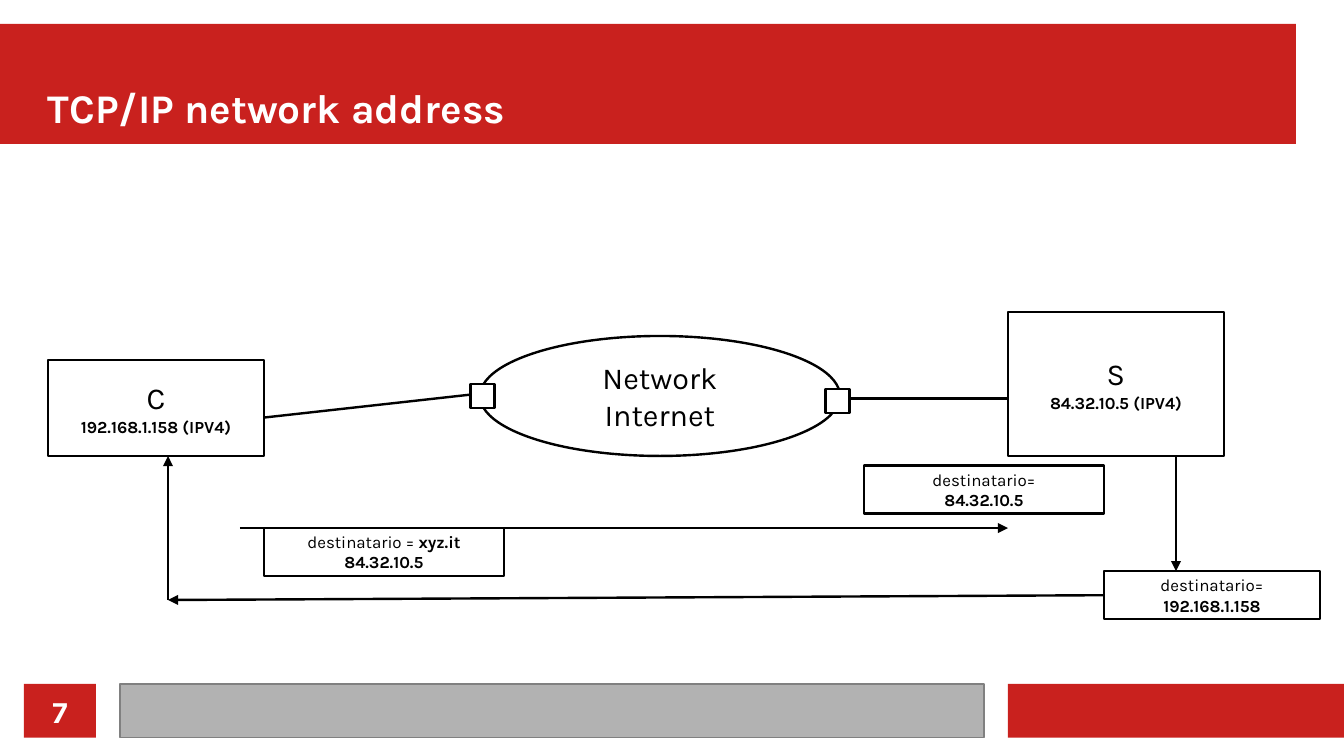
from lxml import etree
from pptx import Presentation
from pptx import util as u
from pptx.dml.color import RGBColor
from pptx.enum import shapes, text
from pptx.oxml.ns import qn

RED = RGBColor(0xC9, 0x21, 0x1E)
GREY = RGBColor(0xB2, 0xB2, 0xB2)
DARK_GREY = RGBColor(0x80, 0x80, 0x80)
BLACK = RGBColor(0, 0, 0)
WHITE = RGBColor(0xFF, 0xFF, 0xFF)

FONT = "Karla"
STROKE = u.Pt(1.42)
RECT = shapes.MSO_SHAPE.RECTANGLE
OVAL = shapes.MSO_SHAPE.OVAL


def set_values(target, values):
    for name, value in values.items():
        setattr(target, name, value)


def write(frame, paragraphs, color, align, anchor, margins, wrap):
    """Fill a frame; each paragraph is a list of (text, size, bold) spans."""
    left, top, right, bottom = (u.Cm(m) for m in margins)
    set_values(frame, {
        "auto_size": text.MSO_AUTO_SIZE.NONE, "word_wrap": wrap,
        "vertical_anchor": anchor, "margin_left": left, "margin_top": top,
        "margin_right": right, "margin_bottom": bottom})
    for index, spans in enumerate(paragraphs):
        para = frame.add_paragraph() if index else frame.paragraphs[0]
        para.alignment = align
        for words, size, bold in spans:
            span = para.add_run()
            span.text = words
            set_values(span.font, {"name": FONT, "size": u.Pt(size), "bold": bold})
            span.font.color.rgb = color


def write_centred(shape, paragraphs, color=BLACK):
    write(shape.text_frame, paragraphs, color, text.PP_ALIGN.CENTER,
          text.MSO_ANCHOR.MIDDLE, (0.25, 0.13, 0.25, 0.13), False)


def add_block(page, kind, box, fill, line=None, width=STROKE):
    shape = page.shapes.add_shape(kind, *(u.Cm(v) for v in box))
    shape.shadow.inherit = False
    shape.fill.solid()
    shape.fill.fore_color.rgb = fill
    if line is None:
        shape.line.fill.background()
    else:
        shape.line.color.rgb = line
        shape.line.width = width
    return shape


def add_link(page, start, end, arrow=False):
    link = page.shapes.add_connector(
        shapes.MSO_CONNECTOR.STRAIGHT, *(u.Cm(v) for v in (*start, *end)))
    link.line.color.rgb = BLACK
    link.line.width = STROKE
    if arrow:
        etree.SubElement(link.line._get_or_add_ln(), qn("a:tailEnd"), type="triangle")
    etree.SubElement(link._element.spPr, qn("a:effectLst"))


def add_header(page, box, words):
    left, top, width, height = box
    band = add_block(page, RECT, box, RED)
    title = page.shapes.title
    title._element.addprevious(band._element)
    set_values(title, {
        "left": u.Cm(left + 1), "top": u.Cm(top + 0.25),
        "width": u.Cm(width - 1), "height": u.Cm(height - 0.5)})
    write(title.text_frame, [[(words, 24, True)]], WHITE, text.PP_ALIGN.LEFT,
          text.MSO_ANCHOR.BOTTOM, (0, 0, 0, 0), True)


def add_diagram(page, box):
    """Draw client, network and server, then the packets sent between them."""
    left, top = box[:2]

    def place(x, y, *size):
        return (left + x, top + y, *size)

    def outlined(kind, *spot):
        return add_block(page, kind, place(*spot), WHITE, BLACK)

    nodes = [
        (RECT, (20, 0, 4.5, 3), [("S", 18, False)], [("84.32.10.5 (IPV4)", 10, True)]),
        (OVAL, (9, 0.5, 7.5, 2.5), [("Network", 18, False)], [("Internet", 18, False)]),
        (RECT, (0, 1, 4.5, 2), [("C", 18, False)], [("192.168.1.158 (IPV4)", 10, True)]),
    ]
    for kind, spot, *paragraphs in nodes:
        write_centred(outlined(kind, *spot), paragraphs)

    add_link(page, place(4.5, 2.2), place(9, 1.7))
    add_link(page, place(16.5, 1.8), place(20, 1.8))
    for x, y in ((16.2, 1.6), (8.8, 1.5)):
        outlined(RECT, x, y, 0.5, 0.5)

    add_link(page, place(4, 4.5), place(20, 4.5), arrow=True)
    packets = [
        ((4.5, 4.5, 5, 1), [("destinatario = ", 10, False), ("xyz.it", 10, True)],
         "84.32.10.5"),
        ((17, 3.2, 5, 1), [("destinatario=", 10, False)], "84.32.10.5"),
        ((22, 5.4, 4.5, 1), [("destinatario=", 10, False)], "192.168.1.158"),
    ]
    for spot, label, address in packets:
        write_centred(outlined(RECT, *spot), [label, [(address, 10, True)]])

    for start, end in (((23.5, 3), (23.5, 5.4)),
                       ((22, 5.9), (2.5, 6)),
                       ((2.5, 6), (2.5, 3))):
        add_link(page, place(*start), place(*end), arrow=True)


def add_footer(page, box, number):
    left, top, width, height = box
    add_block(page, RECT, (left + width - 7, top, 7, height), RED)
    add_block(page, RECT, (left + 2, top, width - 9.5, height), GREY, DARK_GREY, 0)
    badge = add_block(page, RECT, (left, top, 1.5, height), RED)
    write_centred(badge, [[(number, 18, True)]], WHITE)


def main():
    deck = Presentation()
    deck.slide_width, deck.slide_height = u.Cm(28), u.Cm(15.75)
    page = deck.slides.add_slide(deck.slide_layouts[5])
    add_header(page, (0, 0.5, 27, 2.5), "TCP/IP network address")
    add_diagram(page, (1, 6.5, 26.5, 6.4))
    add_footer(page, (0.5, 14.25, 27.5, 1.12), "7")
    deck.save("out.pptx")


if __name__ == "__main__":
    main()
